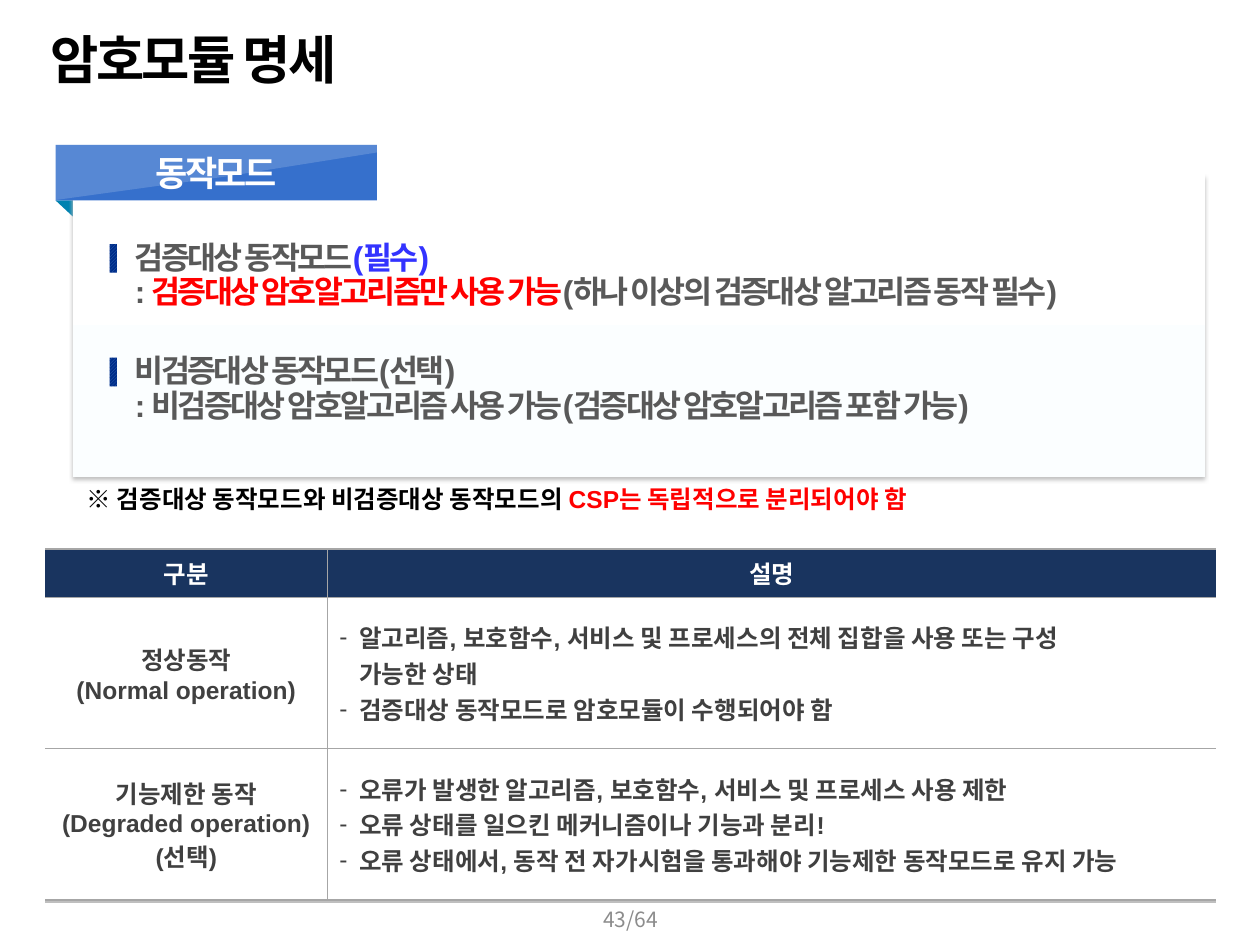
from lxml import etree
from pptx import Presentation
from pptx.dml.color import RGBColor
from pptx.enum import dml, shapes, text
from pptx.oxml.ns import qn
from pptx.util import Cm, Pt

BLACK = RGBColor(0x00, 0x00, 0x00)
WHITE = RGBColor(0xFF, 0xFF, 0xFF)
PALE = RGBColor(0xFB, 0xFE, 0xFF)
NAVY = RGBColor(0x19, 0x34, 0x5F)
BLUE = RGBColor(0x36, 0x70, 0xCC)
TEAL = RGBColor(0x00, 0x82, 0xB0)
INK = RGBColor(0x00, 0x2D, 0x89)
HATCH = RGBColor(0x2E, 0x64, 0xB4)
VIVID = RGBColor(0x33, 0x33, 0xFF)
RED = RGBColor(0xFF, 0x00, 0x00)
DARK = RGBColor(0x40, 0x40, 0x40)
GRAY = RGBColor(0x59, 0x59, 0x59)
MID = RGBColor(0x8C, 0x8C, 0x8C)
RULE = RGBColor(0xA6, 0xA6, 0xA6)
LIGHT = RGBColor(0xBF, 0xBF, 0xBF)
LATIN, HANGUL = "Arial", "Noto Sans CJK KR"
LEFT, MIDDLE = text.PP_ALIGN.LEFT, text.PP_ALIGN.CENTER


def sub(parent, tag, **attrs):
    node = etree.SubElement(parent, qn(tag))
    for key, value in attrs.items():
        node.set(key, str(value))
    return node


def write(frame, paras, size=14, color=BLACK, font=LATIN, bold=True, align=LEFT,
          track=0, gap=0, lead=None, dash=False):
    """Fill a frame; a paragraph is a string or a list of (string, colour) runs."""
    for i, para in enumerate(paras):
        p = frame.paragraphs[0] if i == 0 else frame.add_paragraph()
        p.alignment = align
        if dash:
            props = p._p.get_or_add_pPr()
            props.set("marL", str(Cm(0.4)))
            props.set("indent", str(-Cm(0.4)))
            sub(props, "a:buFont", typeface=LATIN)
            sub(props, "a:buChar", char="-")
        if lead:
            p.line_spacing = lead
        if gap and i:
            p.space_before = Pt(gap)
        for words, tint in [(para, color)] if isinstance(para, str) else para:
            for n, line in enumerate(words.split("\n")):
                if n:
                    p.add_line_break()
                run = p.add_run()
                run.text = line
                run.font.size, run.font.bold, run.font.name = Pt(size), bold, font
                run.font.color.rgb = tint
                props = run._r.get_or_add_rPr()
                sub(props, "a:ea", typeface=HANGUL)
                if track:
                    props.set("spc", str(track))


def inset(part, left, top, right, bottom):
    part.margin_left, part.margin_top = Cm(left), Cm(top)
    part.margin_right, part.margin_bottom = Cm(right), Cm(bottom)


def block(slide, x, y, w, h, fill=None, kind=shapes.MSO_SHAPE.RECTANGLE):
    shape = slide.shapes.add_shape(kind, Cm(x), Cm(y), Cm(w), Cm(h))
    shape.shadow.inherit = False
    shape.line.fill.background()
    if fill is not None:
        shape.fill.solid()
        shape.fill.fore_color.rgb = fill
    return shape


def label(slide, x, y, w, h, paras, wrap=True, pad=(0.25, 0.13, 0.25, 0.13),
          anchor=text.MSO_ANCHOR.TOP, **style):
    frame = slide.shapes.add_textbox(Cm(x), Cm(y), Cm(w), Cm(h)).text_frame
    frame.word_wrap, frame.vertical_anchor = wrap, anchor
    inset(frame, *pad)
    write(frame, paras, **style)


def heading(slide, x, y, w, h, words):
    title = slide.shapes.title
    title.left, title.top, title.width, title.height = Cm(x), Cm(y), Cm(w), Cm(h)
    frame = title.text_frame
    frame.word_wrap, frame.auto_size = False, text.MSO_AUTO_SIZE.NONE
    frame.vertical_anchor = text.MSO_ANCHOR.TOP
    inset(frame, 0.41, 0.13, 0.25, 0.13)
    write(frame, [words], size=30, track=-150, lead=0.9)


def panel(slide, x, y, w, h):
    card = block(slide, x, y, w, h)
    card.fill.gradient()
    card.fill.gradient_angle = 270
    for stop, tint in zip(card.fill.gradient_stops, (WHITE, PALE)):
        stop.color.rgb = tint
    effects = card._element.spPr.find(qn("a:effectLst"))
    shade = sub(effects, "a:outerShdw", blurRad=Pt(2), dist=Pt(2), dir=5400000,
                algn="t", rotWithShape=0)
    sub(shade, "a:srgbClr", val=LIGHT)


def ribbon(slide, x, y, w, h, words):
    band = block(slide, x, y, w, h, BLUE)
    frame = band.text_frame
    frame.word_wrap, frame.vertical_anchor = False, text.MSO_ANCHOR.MIDDLE
    inset(frame, 0, 0, 0, 0)
    write(frame, [words], size=20, color=WHITE, align=MIDDLE, track=-150)

    left = x - 0.05
    spots = [(left + 7.5, y), (left + 3.48, y + 0.64), (left, y + h)]
    pen = slide.shapes.build_freeform(Cm(left), Cm(y))
    pen.add_line_segments([(Cm(a), Cm(b)) for a, b in spots], close=True)
    gloss = pen.convert_to_shape()
    gloss.shadow.inherit = False
    gloss.line.fill.background()
    gloss.fill.solid()
    gloss.fill.fore_color.rgb = WHITE
    tint = gloss._element.spPr.find(qn("a:solidFill"))[0]
    sub(tint, "a:alpha", val=17000)


def item(slide, x, y, w, h, paras):
    label(slide, x, y, w, h, paras, pad=(0.51, 0, 0.1, 0), size=18, color=GRAY,
          track=-150, gap=2, lead=0.83)
    mark = block(slide, x, y, 0.15, 0.58)
    mark.fill.patterned()
    mark.fill.pattern = dml.MSO_PATTERN.LIGHT_UPWARD_DIAGONAL
    mark.fill.fore_color.rgb, mark.fill.back_color.rgb = HATCH, INK


def border(cell, sides):
    """Rule the named sides of a cell and clear the others."""
    props = cell._tc.get_or_add_tcPr()
    for side in "LRTB":
        line = sub(props, "a:ln" + side, w=Pt(1))
        if side in sides:
            sub(sub(line, "a:solidFill"), "a:srgbClr", val=RULE)
        else:
            sub(line, "a:noFill")


def grid(slide, x, y, cols, rows, data):
    table = slide.shapes.add_table(len(rows), len(cols), Cm(x), Cm(y),
                                   Cm(sum(cols)), Cm(sum(rows))).table
    for col, w in zip(table.columns, cols):
        col.width = Cm(w)
    for r, (h, line) in enumerate(zip(rows, data)):
        table.rows[r].height = Cm(h)
        for c, paras in enumerate(line):
            cell = table.cell(r, c)
            head, body = r == 0, r > 0 and c > 0
            border(cell, "TB" + ("L" if c else "R"))
            cell.fill.solid()
            cell.fill.fore_color.rgb = NAVY if head else WHITE
            cell.vertical_anchor = text.MSO_ANCHOR.MIDDLE
            inset(cell, 0.24 if body else 0.1, 0.05, 0.1, 0.05)
            write(cell.text_frame, paras, color=WHITE if head else DARK,
                  font=HANGUL if head else LATIN,
                  align=LEFT if body else MIDDLE, dash=body)


def footer(slide, x, y, w, words):
    rule = slide.shapes.add_connector(shapes.MSO_CONNECTOR.STRAIGHT,
                                      Cm(x), Cm(y), Cm(x + w), Cm(y))
    rule.line.color.rgb, rule.line.width = LIGHT, Pt(1.5)
    sub(rule._element.spPr, "a:effectLst")
    label(slide, x + w / 2 - 2.85, y - 0.17, 5.7, 1.02, [words], size=12, color=MID,
          font=HANGUL, bold=False, align=MIDDLE, anchor=text.MSO_ANCHOR.MIDDLE)


MODES = [
    [[("검증대상 동작모드", GRAY), ("(필수)", VIVID)],
     [(": ", GRAY), ("검증대상 암호알고리즘만 사용 가능", RED),
      ("(하나 이상의 검증대상 알고리즘 동작 필수)", GRAY)]],
    ["비검증대상 동작모드(선택)",
     ": 비검증대상 암호알고리즘 사용 가능(검증대상 암호알고리즘 포함 가능)"],
]
STATES = [
    [["구분"], ["설명"]],
    [["정상동작", "(Normal operation)"],
     ["알고리즘, 보호함수, 서비스 및 프로세스의 전체 집합을 사용 또는 구성\n가능한 상태",
      "검증대상 동작모드로 암호모듈이 수행되어야 함"]],
    [["기능제한 동작", "(Degraded operation)", "(선택)"],
     ["오류가 발생한 알고리즘, 보호함수, 서비스 및 프로세스 사용 제한",
      "오류 상태를 일으킨 메커니즘이나 기능과 분리!",
      "오류 상태에서, 동작 전 자가시험을 통과해야 기능제한 동작모드로 유지 가능"]],
]


def main():
    deck = Presentation()
    deck.slide_width, deck.slide_height = Cm(25.4), Cm(19.05)
    slide = deck.slides.add_slide(deck.slide_layouts[5])
    heading(slide, 0.61, 0.56, 7.98, 1.45, "암호모듈 명세")
    fold = block(slide, 1.12, 4.04, 0.74, 0.69, TEAL, shapes.MSO_SHAPE.RIGHT_TRIANGLE)
    fold.rotation = 180
    panel(slide, 1.47, 3.51, 22.83, 6.1)
    ribbon(slide, 1.12, 2.92, 6.48, 1.12, "동작모드")
    for i, paras in enumerate(MODES):
        item(slide, 2.21, 4.92 + 2.29 * i, 22.07, 1.6, paras)
    label(slide, 1.5, 9.63, 18.67, 0.86,
          [[("※ 검증대상 동작모드와 비검증대상 동작모드의 ", BLACK),
            ("CSP는 독립적으로 분리되어야 함", RED)]], wrap=False)
    grid(slide, 0.91, 11.07, (5.69, 17.91), (0.97, 3.05, 3.05), STATES)
    footer(slide, 0.91, 18.18, 23.6, "43/64")
    deck.save("out.pptx")


if __name__ == "__main__":
    main()
